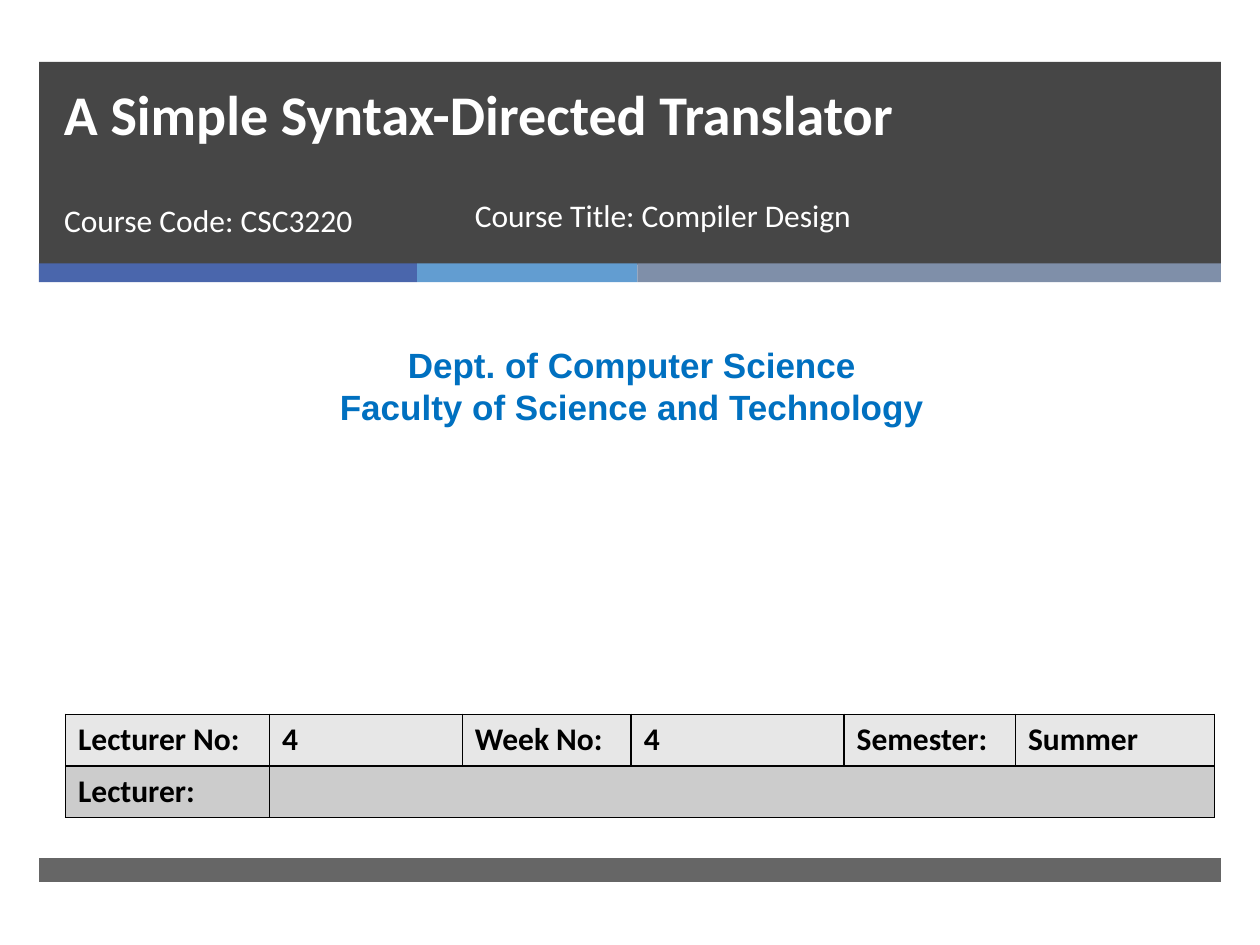
from lxml import etree
from pptx import Presentation
from pptx.dml.color import RGBColor
from pptx.enum.shapes import MSO_SHAPE
from pptx.enum.text import MSO_ANCHOR, PP_ALIGN
from pptx.oxml.ns import qn
from pptx.util import Inches, Pt

RECT = MSO_SHAPE.RECTANGLE
TOP, BOTTOM = MSO_ANCHOR.TOP, MSO_ANCHOR.BOTTOM
LEFT, CENTER = PP_ALIGN.LEFT, PP_ALIGN.CENTER

COLORS = {
    "dark": "262626", "blue": "4A66AC", "sky": "629DD1", "slate": "7F8FA9",
    "dept": "0070C0", "white": "FFFFFF", "black": "000000",
    "row1": "E7E7E7", "row2": "CCCCCC",
}

TITLE = "A Simple Syntax-Directed Translator"
COURSE_CODE = "Course Code: CSC3220"
COURSE_TITLE = "Course Title: Compiler Design"
DEPARTMENT = ["Dept. of Computer Science", "Faculty of Science and Technology"]
DETAILS = [
    ["Lecturer No:", "4", "Week No:", "4", "Semester:", "Summer"],
    ["Lecturer:", "", "", "", "", ""],
]
COL_WIDTHS = [1.62, 1.53, 1.34, 1.69, 1.36, 1.58]
ROW_HEIGHT = 0.41

MARGIN, BAND_WIDTH = 0.31, 9.38
STRIPES = [("blue", 3), ("sky", 1.75), ("slate", 4.63)]


def rgb(name):
    return RGBColor.from_string(COLORS[name])


def write(tf, lines, size=18, color="white", bold=False, font="Calibri",
          align=LEFT, anchor=TOP, spacing=None):
    tf.word_wrap = True
    tf.vertical_anchor = anchor
    for i, line in enumerate(lines):
        p = tf.paragraphs[0] if i == 0 else tf.add_paragraph()
        p.alignment = align
        if spacing:
            p.line_spacing = Pt(spacing)
        p.font.size = Pt(size)
        if line:
            r = p.add_run()
            r.text = line
            r.font.name, r.font.size, r.font.bold = font, Pt(size), bold
            r.font.color.rgb = rgb(color)


def add_text(slide, box, lines, **fmt):
    tb = slide.shapes.add_textbox(*map(Inches, box))
    write(tb.text_frame, lines, **fmt)


def add_bar(slide, x, y, w, h, color, opacity=100):
    sp = slide.shapes.add_shape(RECT, *map(Inches, (x, y, w, h)))
    sp.shadow.inherit = False
    sp.fill.solid()
    sp.fill.fore_color.rgb = rgb(color)
    sp.line.fill.background()
    if opacity < 100:
        clr = sp.fill._xPr.find(".//" + qn("a:srgbClr"))
        etree.SubElement(clr, qn("a:alpha"), val=str(opacity * 1000))


def set_borders(cell, color="black", width=1):
    """Outline all four sides; border elements must precede the fill."""
    tcPr = cell._tc.get_or_add_tcPr()
    for i, side in enumerate(("lnL", "lnR", "lnT", "lnB")):
        ln = etree.Element(qn("a:" + side), w=str(Pt(width)))
        fill = etree.SubElement(ln, qn("a:solidFill"))
        etree.SubElement(fill, qn("a:srgbClr"), val=COLORS[color])
        tcPr.insert(i, ln)


def add_details(slide, x, y):
    rows, cols = len(DETAILS), len(COL_WIDTHS)
    size = (sum(COL_WIDTHS), ROW_HEIGHT * rows)
    table = slide.shapes.add_table(rows, cols, *map(Inches, (x, y, *size))).table
    for col, width in zip(table.columns, COL_WIDTHS):
        col.width = Inches(width)
    for r, values in enumerate(DETAILS):
        table.rows[r].height = Inches(ROW_HEIGHT)
        for c, value in enumerate(values):
            cell = table.cell(r, c)
            cell.fill.solid()
            cell.fill.fore_color.rgb = rgb(f"row{r + 1}")
            set_borders(cell)
            write(cell.text_frame, [value], color="black", bold=True)
    table.cell(1, 1).merge(table.cell(1, cols - 1))


def main():
    prs = Presentation()
    prs.slide_width, prs.slide_height = Inches(10), Inches(7.5)
    slide = prs.slides.add_slide(prs.slide_layouts[6])

    add_bar(slide, MARGIN, 0.49, BAND_WIDTH, 1.61, "dark", opacity=85)
    x = MARGIN
    for color, width in STRIPES:
        add_bar(slide, x, 2.09, width, 0.15, color)
        x += width
    add_bar(slide, MARGIN, 6.81, BAND_WIDTH, 0.19, "dark", opacity=70)

    add_text(slide, (0.08, 2.68, 9.87, 0.77), DEPARTMENT, size=20,
             color="dept", bold=True, font="Arial", align=CENTER)
    add_details(slide, 0.52, 5.67)
    add_text(slide, (0.41, 1.55, 3.05, 0.53), [COURSE_CODE])
    add_text(slide, (3.67, 1.51, 4.55, 0.53), [COURSE_TITLE])
    add_text(slide, (0.41, 0.02, 8.54, 1.19), [TITLE], size=32, bold=True,
             anchor=BOTTOM, spacing=46)
    prs.save("out.pptx")


if __name__ == "__main__":
    main()
